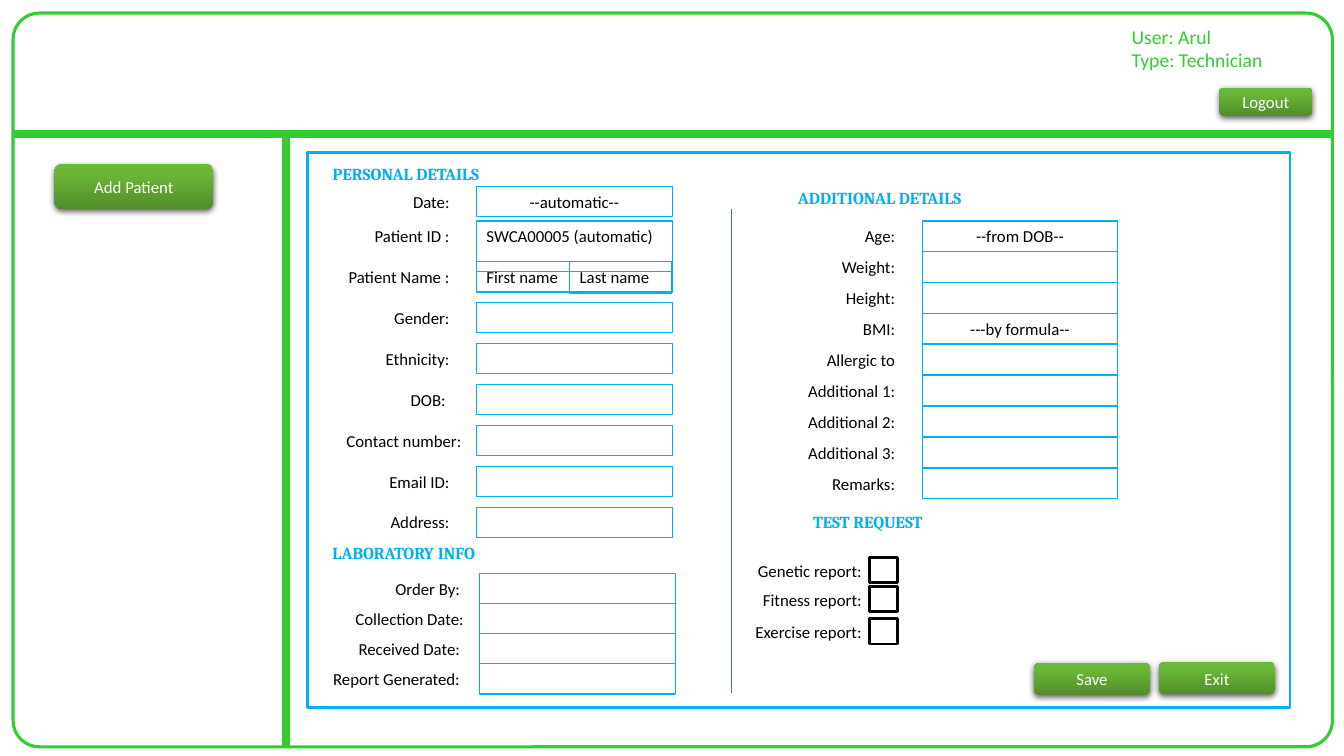
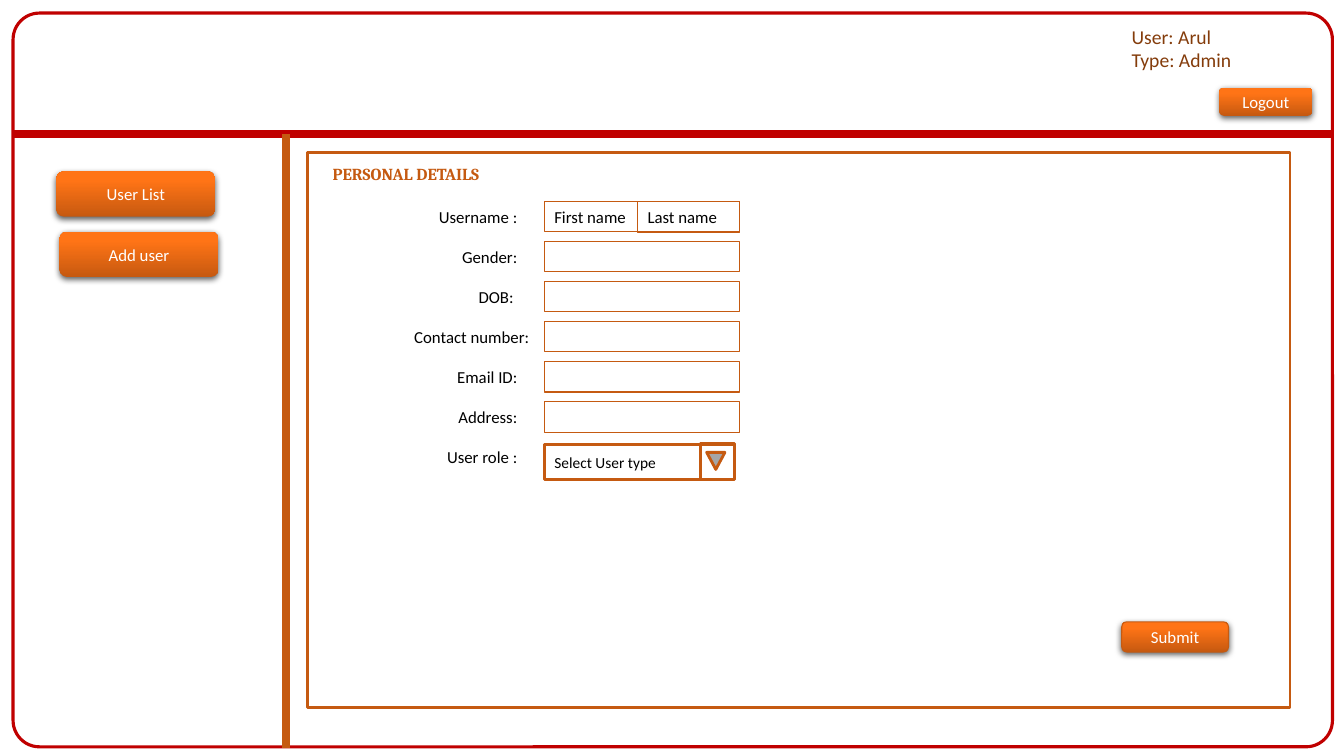
from copy import deepcopy
from dataclasses import dataclass

from lxml import etree
from pptx import Presentation
from pptx.dml.color import RGBColor
from pptx.enum.shapes import MSO_CONNECTOR, MSO_SHAPE as Shape
from pptx.enum.text import MSO_ANCHOR as Anchor, MSO_AUTO_SIZE, PP_ALIGN as Align
from pptx.oxml import parse_xml
from pptx.oxml.ns import nsdecls, qn
from pptx.util import Cm, Pt

# Colours
BLACK = RGBColor(0x00, 0x00, 0x00)
WHITE = RGBColor(0xFF, 0xFF, 0xFF)
GREY = RGBColor(0xA5, 0xA5, 0xA5)
GREEN = RGBColor(0x33, 0xCC, 0x33)
SKY = RGBColor(0x00, 0xB0, 0xF0)
DIVIDER_BLUE = RGBColor(0x3F, 0x6F, 0xC3)
RED = RGBColor(0xC0, 0x00, 0x00)
RUST = RGBColor(0xC5, 0x5A, 0x11)
BROWN = RGBColor(0x84, 0x3C, 0x0B)
GREEN_BLEND = (RGBColor(0x51, 0x8D, 0x2A), RGBColor(0x6A, 0xB6, 0x36),
               RGBColor(0x6A, 0xBA, 0x34))
ORANGE_BLEND = (RGBColor(0xC6, 0x59, 0x10), RGBColor(0xFF, 0x74, 0x16),
                RGBColor(0xFF, 0x75, 0x17))
BLEND_POSITIONS = (0, 0.8, 1)

# Form measures in centimetres
FIELD_W, FIELD_H = 4.93, 0.76
LABEL_GAP = 0.43
LAST_NAME_SHIFT = 2.35
CONTACT_NUDGE = 0.3


@dataclass
class Theme:
    frame: RGBColor
    sidebar: RGBColor
    user: RGBColor
    accent: RGBColor
    blend: tuple


@dataclass
class Row:
    label: str
    value: str = ""
    align: Align = Align.LEFT
    nudge: float = 0
    height: float = FIELD_H


TECHNICIAN = Theme(GREEN, GREEN, GREEN, SKY, GREEN_BLEND)
ADMIN = Theme(RED, RUST, BROWN, RUST, ORANGE_BLEND)


# Basic elements
def place(x, y, w, h):
    return Cm(x), Cm(y), Cm(w), Cm(h)


def write(shape, lines, color=BLACK, size=12, font="Calibri", bold=False,
          align=Align.LEFT, anchor=Anchor.TOP):
    frame = shape.text_frame
    frame.word_wrap = True
    frame.auto_size = MSO_AUTO_SIZE.NONE
    frame.vertical_anchor = anchor
    for index, line in enumerate(lines):
        paragraph = frame.add_paragraph() if index else frame.paragraphs[0]
        paragraph.alignment = align
        run = paragraph.add_run()
        run.text = line
        run.font.name = font
        run.font.size = Pt(size)
        run.font.bold = bold
        run.font.color.rgb = color


def add_box(slide, box, line, width, fill=None, kind=Shape.RECTANGLE):
    shape = slide.shapes.add_shape(kind, *place(*box))
    shape.shadow.inherit = False
    if fill is None:
        shape.fill.background()
    else:
        shape.fill.solid()
        shape.fill.fore_color.rgb = fill
    if line is None:
        shape.line.fill.background()
    else:
        shape.line.color.rgb = line
        shape.line.width = Pt(width)
    return shape


def add_rule(slide, start, end, color, width):
    rule = slide.shapes.add_connector(
        MSO_CONNECTOR.STRAIGHT, *(Cm(v) for v in (*start, *end)))
    rule.line.color.rgb = color
    rule.line.width = Pt(width)
    etree.SubElement(rule._element.spPr, qn("a:effectLst"))


def add_text(slide, box, lines, **style):
    write(slide.shapes.add_textbox(*place(*box)), lines, **style)


def add_button(slide, theme, caption, box, outline=None):
    button = add_box(slide, box, outline, 0.75, kind=Shape.ROUNDED_RECTANGLE)
    button.fill.gradient()
    button.fill.gradient_angle = 90
    properties = button._element.spPr
    stop_list = properties.find(".//" + qn("a:gsLst"))
    stop_list.append(deepcopy(stop_list[0]))
    for stop, position, color in zip(button.fill.gradient_stops,
                                     BLEND_POSITIONS, theme.blend):
        stop.position = position
        stop.color.rgb = color
    properties.find(qn("a:effectLst")).append(parse_xml(
        f'<a:outerShdw {nsdecls("a")} blurRad="{Pt(4.5)}" dist="{Pt(1.5)}" '
        'dir="5400000" rotWithShape="0"><a:srgbClr val="000000">'
        '<a:alpha val="63000"/></a:srgbClr></a:outerShdw>'))
    write(button, [caption], color=WHITE, align=Align.CENTER, anchor=Anchor.MIDDLE)


# Form elements
def add_heading(slide, theme, text, x, y):
    add_text(slide, (x, y, 7.65, FIELD_H), [text], color=theme.accent,
             font="Cambria", bold=True)


def add_label(slide, text, right, y, width=FIELD_W):
    add_text(slide, (right - width, y, width, FIELD_H), [text], align=Align.RIGHT)


def add_field(slide, theme, x, y, value="", align=Align.LEFT,
              width=FIELD_W, height=FIELD_H):
    field = add_box(slide, (x, y, width, height), theme.accent, 0.75)
    if value:
        write(field, [value], align=align)


def add_rows(slide, theme, rows, x, top, pitch, gap=LABEL_GAP):
    for index, row in enumerate(rows):
        y = top + index * pitch
        add_label(slide, row.label, x - gap + row.nudge, y)
        add_field(slide, theme, x, y, row.value, row.align, height=row.height)


def add_last_name(slide, theme, x, y):
    add_field(slide, theme, x + LAST_NAME_SHIFT, y, "Last name",
              width=2.57, height=0.79)


def add_checkbox(slide, label, y):
    add_label(slide, label, 21.97, y)
    add_box(slide, (21.92, y + 0.05, 0.71, 0.64), BLACK, 2, WHITE)


# Page shared by both roles
def add_page(deck, theme, role):
    slide = deck.slides.add_slide(deck.slide_layouts[5])
    title = slide.shapes.title
    title.left, title.top, title.width, title.height = place(8.13, 4.01, 7.65, FIELD_H)
    write(title, ["PERSONAL DETAILS"], color=theme.accent, font="Cambria", bold=True)

    outer = add_box(slide, (0.33, 0.33, 33.25, 18.49), theme.frame, 2.25,
                    kind=Shape.ROUNDED_RECTANGLE)
    outer.adjustments[0] = 0.036
    add_rule(slide, (0.33, 3.38), (33.55, 3.38), theme.frame, 6)
    add_rule(slide, (7.21, 3.38), (7.21, 18.85), theme.sidebar, 6)
    add_text(slide, (28.27, 0.38, 4.8, 1.68), ["User: Arul", f"Type: {role}"],
             color=theme.user, size=14, anchor=Anchor.MIDDLE)
    add_box(slide, (7.75, 3.84, 24.76, 14), theme.accent, 2)
    add_button(slide, theme, "Logout", (30.73, 2.21, 2.34, 0.71))
    return slide


def build_patient_form(deck):
    theme = TECHNICIAN
    slide = add_page(deck, theme, "Technician")
    add_button(slide, theme, "Add Patient", (1.37, 4.14, 4.01, 1.14))

    # Personal details
    x, top, pitch = 12.01, 5.57, 1.03
    add_rows(slide, theme, [Row("Date:", "--automatic--", Align.CENTER)], x, 4.7, pitch)
    add_rows(slide, theme, [
        Row("Patient ID :", "SWCA00005 (automatic)", height=1.27),
        Row("Patient Name :", "First name"),
        Row("Gender:"),
        Row("Ethnicity:"),
        Row("DOB: "),
        Row("Contact number:", nudge=CONTACT_NUDGE),
        Row("Email ID:"),
        Row("Address:"),
    ], x, top, pitch)
    add_last_name(slide, theme, x, top + pitch)

    # Laboratory info
    add_heading(slide, theme, "LABORATORY INFO", 8.13, 13.56)
    add_rows(slide, theme, [
        Row("Order By: "),
        Row("Collection Date:"),
        Row("Received Date: "),
        Row("Report Generated: "),
    ], 12.09, 14.45, 0.76, gap=0.15)

    add_rule(slide, (18.44, 5.26), (18.44, 17.45), DIVIDER_BLUE, 0.75)

    # Additional details
    add_heading(slide, theme, "ADDITIONAL DETAILS", 19.86, 4.6)
    add_rows(slide, theme, [
        Row("Age:", "--from DOB--", Align.CENTER),
        Row("Weight:"),
        Row("Height:"),
        Row("BMI:", "---by formula--", Align.CENTER),
        Row("Allergic to"),
        Row("Additional 1:"),
        Row("Additional 2:"),
        Row("Additional 3:"),
        Row("Remarks:"),
    ], 23.24, 5.57, 0.78)

    # Test request
    add_heading(slide, theme, "TEST REQUEST", 20.24, 12.78)
    for label, y in (("Genetic report:", 14), ("Fitness report:", 14.73),
                     ("Exercise report:", 15.54)):
        add_checkbox(slide, label, y)

    add_button(slide, theme, "Save", (26.06, 16.71, 2.92, 0.81))
    add_button(slide, theme, "Exit", (29.21, 16.69, 2.92, 0.81))


def build_user_form(deck):
    theme = ADMIN
    slide = add_page(deck, theme, "Admin")
    add_button(slide, theme, "User List", (1.42, 4.32, 4.01, 1.14))
    add_button(slide, theme, "Add user", (1.5, 5.84, 4.01, 1.14))

    # Personal details
    x, top, pitch = 13.72, 5.08, 1.01
    rows = [
        Row("Username :", "First name"),
        Row("Gender:"),
        Row("DOB: "),
        Row("Contact number:", nudge=CONTACT_NUDGE),
        Row("Email ID:"),
        Row("Address:"),
    ]
    add_rows(slide, theme, rows, x, top, pitch)
    add_last_name(slide, theme, x, top)

    # User role drop-down
    add_label(slide, "User role :", x - LABEL_GAP, top + len(rows) * pitch)
    role = add_box(slide, (x, 11.2, 4.8, 0.89), theme.accent, 2, WHITE)
    write(role, ["Select User type"], size=11, anchor=Anchor.MIDDLE)
    add_box(slide, (17.81, 11.4, 0.46, 0.43), theme.accent, 2, GREY,
            Shape.FLOWCHART_MERGE)
    add_box(slide, (17.65, 11.18, 0.86, 0.89), theme.accent, 2)

    add_button(slide, theme, "Submit", (28.27, 15.67, 2.69, 0.76), theme.accent)


def main():
    deck = Presentation()
    deck.slide_width, deck.slide_height = Cm(33.87), Cm(19.05)
    build_patient_form(deck)
    build_user_form(deck)
    deck.save("out.pptx")


if __name__ == "__main__":
    main()
